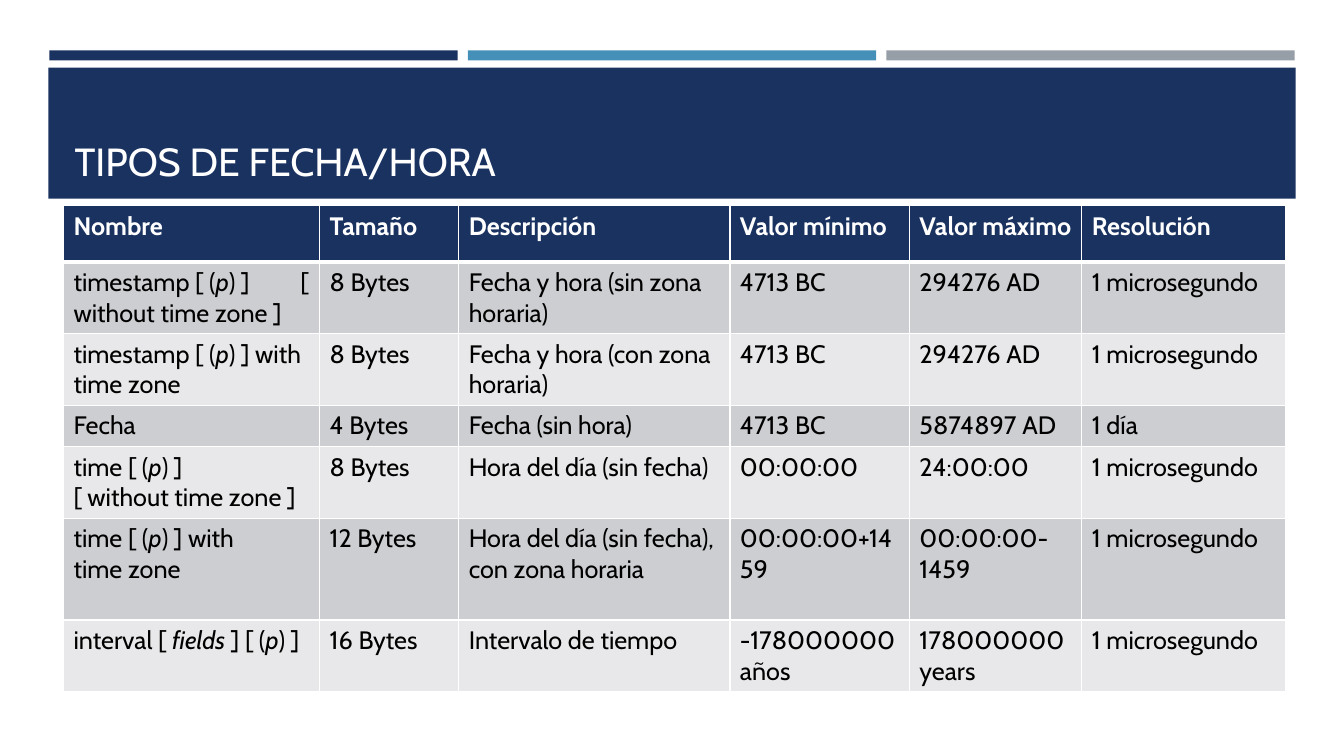
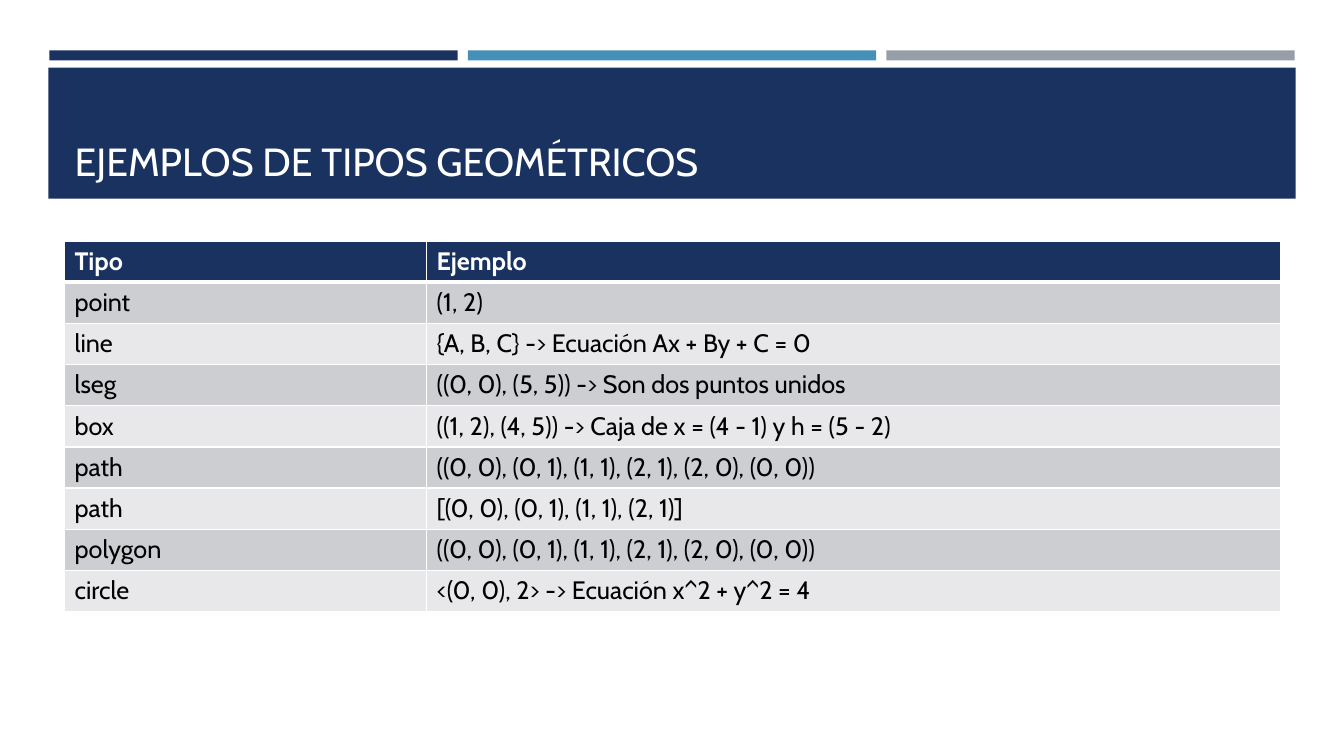
"""Build two slides with tables of database types under a shared title band."""
from lxml.etree import SubElement as Sub
from pptx import Presentation
from pptx.dml.color import RGBColor as Rgb
from pptx.enum.shapes import MSO_SHAPE as Shape
from pptx.enum.text import MSO_ANCHOR as Anchor, MSO_AUTO_SIZE as Auto, PP_ALIGN as Align
from pptx.oxml.ns import qn
from pptx.util import Inches as In, Pt

NAVY, BLUE, GREY, WHITE, BLACK = "1A3260", "4590B8", "969FA7", "FFFFFF", "000000"
BANDS = ["E8E8EA", "CDCED2"]
LEFT, BAR, GAP = 0.49, 4.05, 0.1
LINE, TWO, THREE = 0.41, 0.71, 1.01
TAB = 2.25


def paint(fill, tint):
    """Give a fill one solid colour."""
    fill.solid()
    fill.fore_color.rgb = Rgb.from_string(tint)


def style(font, tint, **form):
    """Apply the deck font, a colour and further format values."""
    for key, val in {"name": "Cabin", **form}.items():
        setattr(font, key, val)
    font.color.rgb = Rgb.from_string(tint)


pages = [
    {
        "title": "TIPOS DE FECHA/HORA",
        "at": (0.63, 2.04),
        "cols": [2.54, 1.38, 2.69, 1.78, 1.71, 2.02],
        "rows": [0.56, TWO, TWO, LINE, TWO, THREE, TWO],
        "cells": [
            ["Nombre", "Tamaño", "Descripción", "Valor mínimo", "Valor máximo", "Resolución"],
            ["timestamp [ (*p*) ]\t[\nwithout time zone ]", "8 Bytes",
             "Fecha y hora (sin zona horaria)", "4713 BC", "294276 AD", "1 microsegundo"],
            ["timestamp [ (*p*) ] with time zone", "8 Bytes",
             "Fecha y hora (con zona horaria)", "4713 BC", "294276 AD", "1 microsegundo"],
            ["Fecha", "4 Bytes", "Fecha (sin hora)", "4713 BC", "5874897 AD", "1 día"],
            ["time [ (*p*) ]\n[ without time zone ]", "8 Bytes",
             "Hora del día (sin fecha)", "00:00:00", "24:00:00", "1 microsegundo"],
            ["time [ (*p*) ] with\ntime zone", "12 Bytes",
             "Hora del día (sin fecha), con zona horaria",
             "00:00:00+1459", "00:00:00-1459", "1 microsegundo"],
            ["interval [ *fields* ] [ (*p*) ]", "16 Bytes", "Intervalo de tiempo",
             "-178000000 años", "178000000 years", "1 microsegundo"],
        ],
    },
    {
        "title": "EJEMPLOS DE TIPOS GEOMÉTRICOS",
        "at": (0.64, 2.39),
        "cols": [3.59, 8.47],
        "rows": [LINE] + [0.4, LINE, LINE, LINE] * 2,
        "cells": [
            ["Tipo", "Ejemplo"],
            ["point", "(1, 2)"],
            ["line", "{A, B, C} -> Ecuación Ax + By + C = 0"],
            ["lseg", "((0, 0), (5, 5)) -> Son dos puntos unidos"],
            ["box", "((1, 2), (4, 5)) -> Caja de x = (4 - 1) y h = (5 - 2)"],
            ["path", "((0, 0), (0, 1), (1, 1), (2, 1), (2, 0), (0, 0))"],
            ["path", "[(0, 0), (0, 1), (1, 1), (2, 1)]"],
            ["polygon", "((0, 0), (0, 1), (1, 1), (2, 1), (2, 0), (0, 0))"],
            ["circle", "<(0, 0), 2> -> Ecuación x^2 + y^2 = 4"],
        ],
    },
]

deck = Presentation()
deck.slide_width, deck.slide_height = In(13.33), In(7.5)
layout = deck.slide_layouts[5]
bars = [(LEFT + i * (BAR + GAP), 0.5, BAR, 0.1, tint)
        for i, tint in enumerate([NAVY, BLUE, GREY])]
bars.append((0.48, 0.67, 12.37, 1.3, NAVY))

for num, page in enumerate(pages):
    slide = deck.slides.add_slide(layout)
    if num == 0:
        for *box, tint in bars:
            bar = slide.shapes.add_shape(Shape.RECTANGLE, *map(In, box))
            bar.shadow.inherit = False
            paint(bar.fill, tint)
            bar.line.fill.background()
            layout.shapes.element.append(bar.element)

    title = slide.shapes.title
    place = dict(zip(["left", "top", "width", "height"], map(In, (0.64, 0.77, 12.06, 1.11))))
    for key, val in place.items():
        setattr(title, key, val)
    frame = title.text_frame
    frame.text = page["title"]
    for key, val in {"vertical_anchor": Anchor.BOTTOM, "auto_size": Auto.NONE,
                     "word_wrap": True}.items():
        setattr(frame, key, val)
    para = frame.paragraphs[0]
    para.alignment = Align.LEFT
    style(para.runs[0].font, WHITE, size=Pt(28))

    cols, rows = page["cols"], page["rows"]
    size = [*page["at"], sum(cols), sum(rows)]
    table = slide.shapes.add_table(len(rows), len(cols), *map(In, size)).table
    for col, width in zip(table.columns, cols):
        col.width = In(width)
    for r, (row, high, texts) in enumerate(zip(table.rows, rows, page["cells"])):
        row.height = In(high)
        head = r == 0
        for cell, text in zip(row.cells, texts):
            paint(cell.fill, NAVY if head else BANDS[r % 2])
            props = cell._tc.get_or_add_tcPr()
            for i, side in enumerate("LRTB"):
                thick = (side == "B" and head) or (side == "T" and r == 1)
                edge = Sub(props, qn(f"a:ln{side}"), w=str(Pt(3 if thick else 1)))
                Sub(Sub(edge, qn("a:solidFill")), qn("a:srgbClr"), val=WHITE)
                props.insert(i, edge)
            para = cell.text_frame.paragraphs[0]
            if "\t" in text:
                tabs = Sub(para._p.get_or_add_pPr(), qn("a:tabLst"))
                Sub(tabs, qn("a:tab"), pos=str(In(TAB)), algn="l")
            for i, part in enumerate(text.split("*")):
                for j, line in enumerate(part.split("\n")):
                    if j:
                        para.add_line_break()
                    run = para.add_run()
                    run.text = line
                    style(run.font, WHITE if head else BLACK,
                          size=Pt(18), bold=head, italic=i % 2 == 1)

deck.save("out.pptx")
